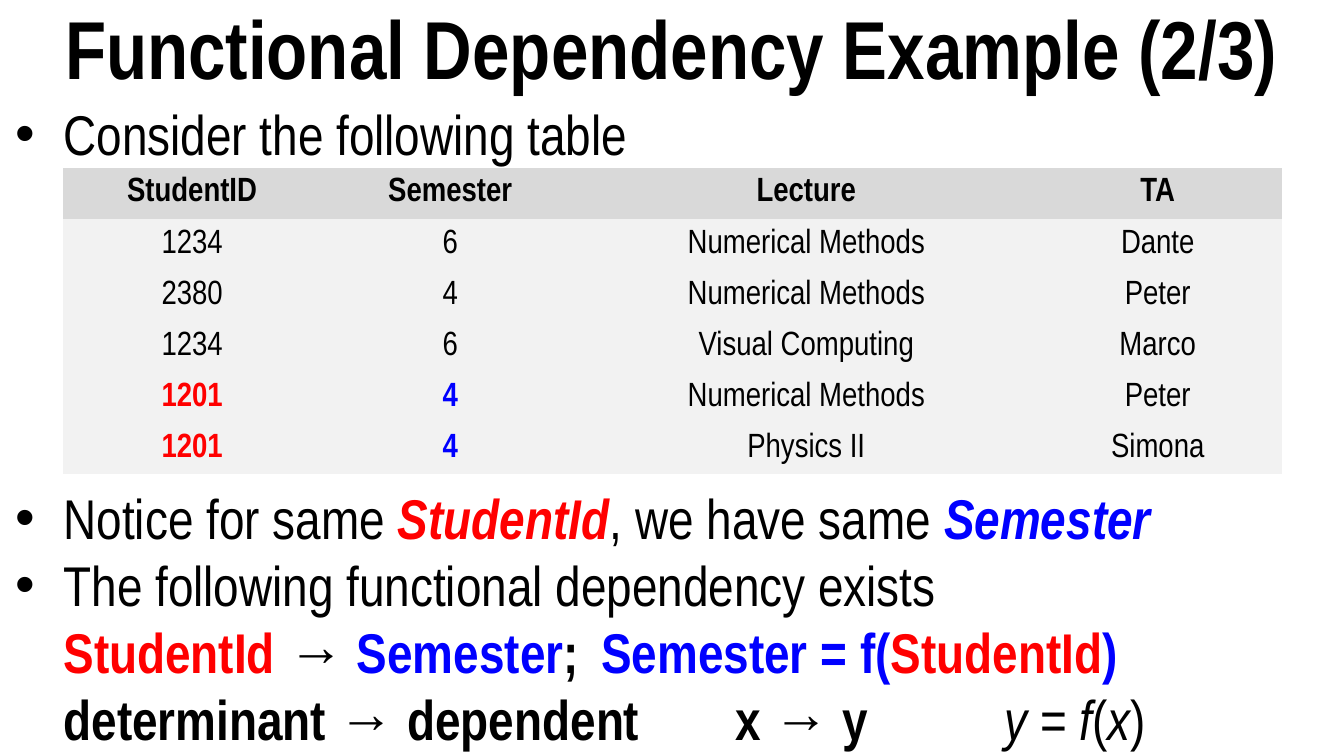
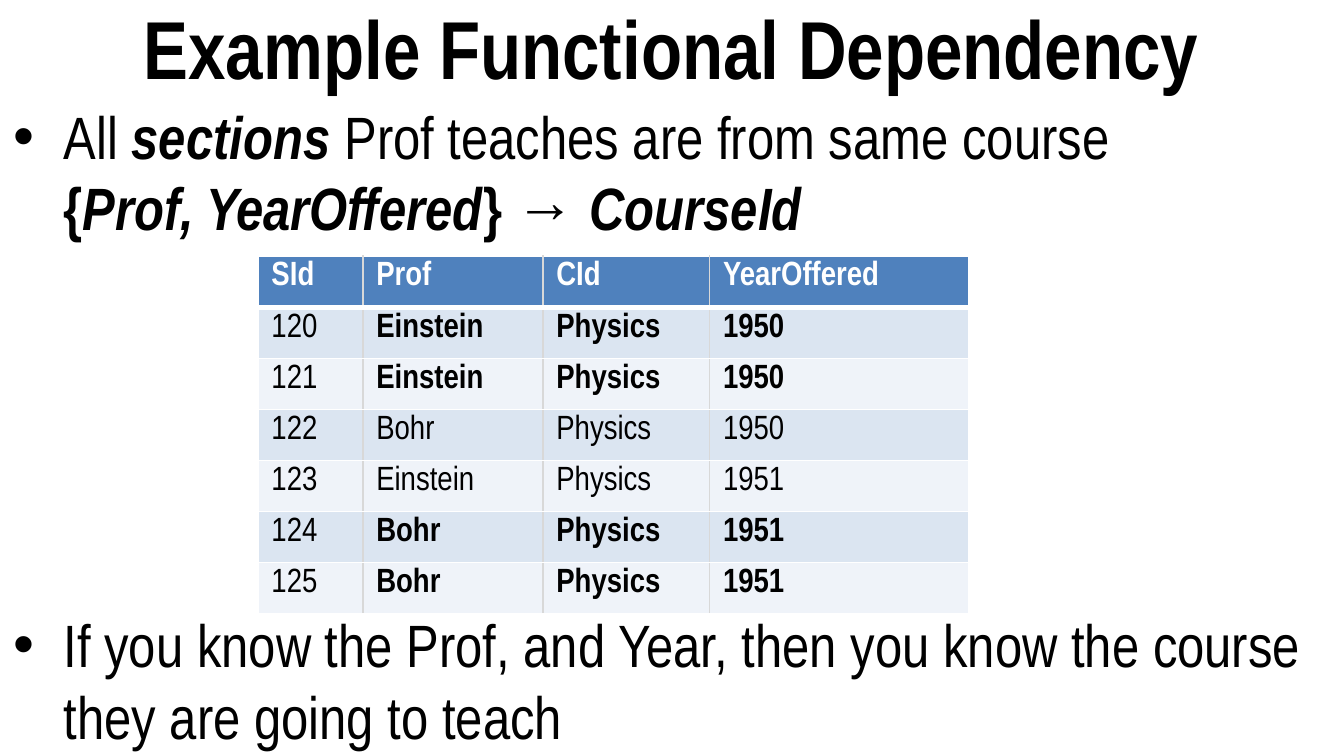
"""Build two slides that explain functional dependency with sample tables."""
from dataclasses import dataclass
from typing import Callable, NamedTuple, Optional

import pptx
import pptx.dml.color
import pptx.enum.text
import pptx.oxml.ns
import pptx.util
from lxml import etree

RGBColor = pptx.dml.color.RGBColor
Align = pptx.enum.text.PP_ALIGN
Anchor = pptx.enum.text.MSO_ANCHOR
qn = pptx.oxml.ns.qn

BLACK = RGBColor(0x00, 0x00, 0x00)
WHITE = RGBColor(0xFF, 0xFF, 0xFF)
RED = RGBColor(0xFF, 0x00, 0x00)
BLUE = RGBColor(0x00, 0x00, 0xFF)
HEADER_GRAY = RGBColor(0xD9, 0xD9, 0xD9)
BODY_GRAY = RGBColor(0xF2, 0xF2, 0xF2)
RULE_GRAY = RGBColor(0xD8, 0xD8, 0xD8)
HEADER_BLUE = RGBColor(0x4F, 0x81, 0xBD)
BANDS = (RGBColor(0xDB, 0xE5, 0xF1), RGBColor(0xEF, 0xF3, 0xF9))

FONT = "Arial Narrow"
TITLE_SIZE, CELL_SIZE = 44, 18
PLAIN_TABLE_STYLE = "{2D5ABB26-0587-4C30-8999-92F81FD0307C}"

WIDTH = pptx.util.Inches(10)
HEIGHT = WIDTH * 9 // 16
COLUMN = WIDTH // 100
ROW = HEIGHT // 100
TITLE_ROWS = 12.3
TEXT_INDENT = 3.75


class Span(NamedTuple):
    """A stretch of text in one style."""

    text: str
    color: RGBColor = BLACK
    bold: bool = False
    italic: bool = False


class Statement(NamedTuple):
    """A body paragraph; hang is the bullet's outdent in columns."""

    spans: list[Span]
    hang: float = 0
    space_before: float = 0


class CellLook(NamedTuple):
    """Fill and text style of one table cell."""

    fill: RGBColor
    color: RGBColor = BLACK
    bold: bool = False


@dataclass
class Relation:
    """A sample table placed on the column and row grid."""

    left: float
    top: float
    widths: list[float]
    row_height: float
    records: list[list[str]]
    look: Callable[[int, int], CellLook]
    align: Align
    anchor: Anchor
    ruled: bool = False


@dataclass
class Lesson:
    """One slide: title, statements and a sample table."""

    title: str
    size: int
    statements: list[Statement]
    relation: Relation


def student_look(row: int, column: int) -> CellLook:
    """Highlight the repeated student and semester."""
    if row == 0:
        return CellLook(HEADER_GRAY, bold=True)
    if row >= 4 and column < 2:
        return CellLook(BODY_GRAY, (RED, BLUE)[column], True)
    return CellLook(BODY_GRAY)


def section_look(row: int, column: int) -> CellLook:
    """Band the rows and embolden the repeated professor and year."""
    if row == 0:
        return CellLook(HEADER_BLUE, WHITE, True)
    return CellLook(BANDS[(row - 1) % 2], bold=column > 0 and row in (1, 2, 5, 6))


def set_font(font, size: int, color: RGBColor, bold: bool, italic: bool = False) -> None:
    """Apply the deck's typeface with the given style."""
    font.name, font.size = FONT, pptx.util.Pt(size)
    font.bold, font.italic = bold, italic
    font.color.rgb = color


def add_color(parent, color: RGBColor) -> None:
    """Append an RGB colour element."""
    etree.SubElement(parent, qn("a:srgbClr"), val=str(color))


def add_frame(slide, top: float, rows: float):
    """Add a full-width wrapping text frame."""
    frame = slide.shapes.add_textbox(0, int(top * ROW), WIDTH, int(rows * ROW)).text_frame
    frame.word_wrap = True
    return frame


def add_title(slide, title: str) -> None:
    """Add the centred bold title."""
    frame = add_frame(slide, 0, TITLE_ROWS)
    frame.vertical_anchor = Anchor.MIDDLE
    paragraph = frame.paragraphs[0]
    paragraph.text, paragraph.alignment = title, Align.CENTER
    set_font(paragraph.font, TITLE_SIZE, BLACK, True)


def write_statement(paragraph, statement: Statement, size: int) -> None:
    """Write one paragraph with its indent, optional bullet and spans."""
    properties = paragraph._p.get_or_add_pPr()
    properties.set("marL", str(int(TEXT_INDENT * COLUMN)))
    properties.set("indent", str(int(-statement.hang * COLUMN)))
    properties.set("defTabSz", str(10 * COLUMN))
    if statement.space_before:
        paragraph.space_before = pptx.util.Pt(statement.space_before)
    if statement.hang:
        add_color(etree.SubElement(properties, qn("a:buClr")), BLACK)
        etree.SubElement(properties, qn("a:buFont"), typeface="Arial")
        etree.SubElement(properties, qn("a:buChar"), char="•")
    paragraph.font.name, paragraph.font.size = FONT, pptx.util.Pt(size)
    for span in statement.spans:
        for index, line in enumerate(span.text.split("\n")):
            if index:
                paragraph.add_line_break()
            if line:
                run = paragraph.add_run()
                run.text = line
                run.font.bold, run.font.italic = span.bold, span.italic
                run.font.color.rgb = span.color


def add_statements(slide, statements: list[Statement], size: int) -> None:
    """Fill the body below the title."""
    frame = add_frame(slide, TITLE_ROWS, 100 - TITLE_ROWS)
    for index, statement in enumerate(statements):
        paragraph = frame.add_paragraph() if index else frame.paragraphs[0]
        write_statement(paragraph, statement, size)


def rule_cell(cell, row: int, column: int, last_column: int) -> None:
    """Draw gray rules between columns and white rules elsewhere."""
    properties = cell._tc.get_or_add_tcPr()
    rules = (
        ("a:lnL", RULE_GRAY if column else WHITE, 1),
        ("a:lnR", RULE_GRAY if column < last_column else WHITE, 1),
        ("a:lnT", WHITE, 3 if row == 1 else 1),
        ("a:lnB", WHITE, 1 if row else 3),
    )
    for tag, color, points in rules:
        line = etree.SubElement(properties, qn(tag), w=str(pptx.util.Pt(points)))
        add_color(etree.SubElement(line, qn("a:solidFill")), color)


def add_relation(slide, relation: Relation) -> None:
    """Draw a sample table."""
    records, widths = relation.records, relation.widths
    graphic = slide.shapes.add_table(
        len(records), len(widths), int(relation.left * COLUMN), int(relation.top * ROW),
        int(sum(widths) * COLUMN), int(len(records) * relation.row_height * ROW))
    table = graphic.table
    table.first_row = table.horz_banding = False
    next(graphic.element.iter(qn("a:tableStyleId"))).text = PLAIN_TABLE_STYLE
    for column, width in zip(table.columns, widths):
        column.width = int(width * COLUMN)
    for row, record in enumerate(records):
        table.rows[row].height = int(relation.row_height * ROW)
        for column, value in enumerate(record):
            cell, look = table.cell(row, column), relation.look(row, column)
            if relation.ruled:
                rule_cell(cell, row, column, len(widths) - 1)
            cell.fill.solid()
            cell.fill.fore_color.rgb = look.fill
            cell.margin_left = cell.margin_right = COLUMN
            cell.margin_top = cell.margin_bottom = int(0.4 * COLUMN)
            cell.vertical_anchor = relation.anchor
            paragraph = cell.text_frame.paragraphs[0]
            paragraph.text, paragraph.alignment = value, relation.align
            set_font(paragraph.font, CELL_SIZE, look.color, look.bold)


STUDENTS = Relation(
    4.7, 22.2, [19.2, 19.2, 33.8, 18.5], 4.44,
    [["StudentID", "Semester", "Lecture", "TA"],
     ["1234", "6", "Numerical Methods", "Dante"],
     ["2380", "4", "Numerical Methods", "Peter"],
     ["1234", "6", "Visual Computing", "Marco"],
     ["1201", "4", "Numerical Methods", "Peter"],
     ["1201", "4", "Physics II", "Simona"]],
    student_look, Align.CENTER, Anchor.MIDDLE)

SECTIONS = Relation(
    19.2, 33.9, [7.8, 13.4, 12.4, 19.3], 5.33,
    [["SId", "Prof", "CId", "YearOffered"],
     ["120", "Einstein", "Physics", "1950"],
     ["121", "Einstein", "Physics", "1950"],
     ["122", "Bohr", "Physics", "1950"],
     ["123", "Einstein", "Physics", "1951"],
     ["124", "Bohr", "Physics", "1951"],
     ["125", "Bohr", "Physics", "1951"]],
    section_look, Align.LEFT, Anchor.TOP, ruled=True)

LESSONS = [
    Lesson("Functional Dependency Example (2/3)", 30, [
        Statement([Span("Consider the following table")], 3.6),
        Statement([Span("Notice for same "), Span("StudentId", RED, True, True),
                   Span(", we have same "), Span("Semester", BLUE, True, True)], 3.6, 169.6),
        Statement([Span("The following functional dependency exists")], 3.6),
        Statement([Span("StudentId", RED, True), Span(" → ", bold=True),
                   Span("Semester", BLUE, True), Span(";", bold=True),
                   Span("\tSemester = f(", BLUE, True), Span("StudentId", RED, True),
                   Span(")", BLUE, True)]),
        Statement([Span("determinant → dependent\tx → y\t\t", bold=True),
                   Span("y", italic=True), Span(" = "), Span("f", italic=True),
                   Span("("), Span("x", italic=True), Span(")")]),
    ], STUDENTS),
    Lesson("Example Functional Dependency", 32, [
        Statement([Span("All "), Span("sections", bold=True, italic=True),
                   Span(" Prof teaches are from same course\n"), Span("{", bold=True),
                   Span("Prof, YearOffered", bold=True, italic=True),
                   Span("} →", bold=True), Span(" CourseId", bold=True, italic=True)], 3.75),
        Statement([Span("If you know the Prof, and Year, then you know the course "
                        "they are going to teach")], 3.75, 195.6),
    ], SECTIONS),
]


def main() -> None:
    """Build and save the deck."""
    deck = pptx.Presentation()
    deck.slide_width, deck.slide_height = WIDTH, HEIGHT
    for lesson in LESSONS:
        slide = deck.slides.add_slide(deck.slide_layouts[6])
        add_title(slide, lesson.title)
        add_statements(slide, lesson.statements, lesson.size)
        add_relation(slide, lesson.relation)
    deck.save("out.pptx")


if __name__ == "__main__":
    main()
